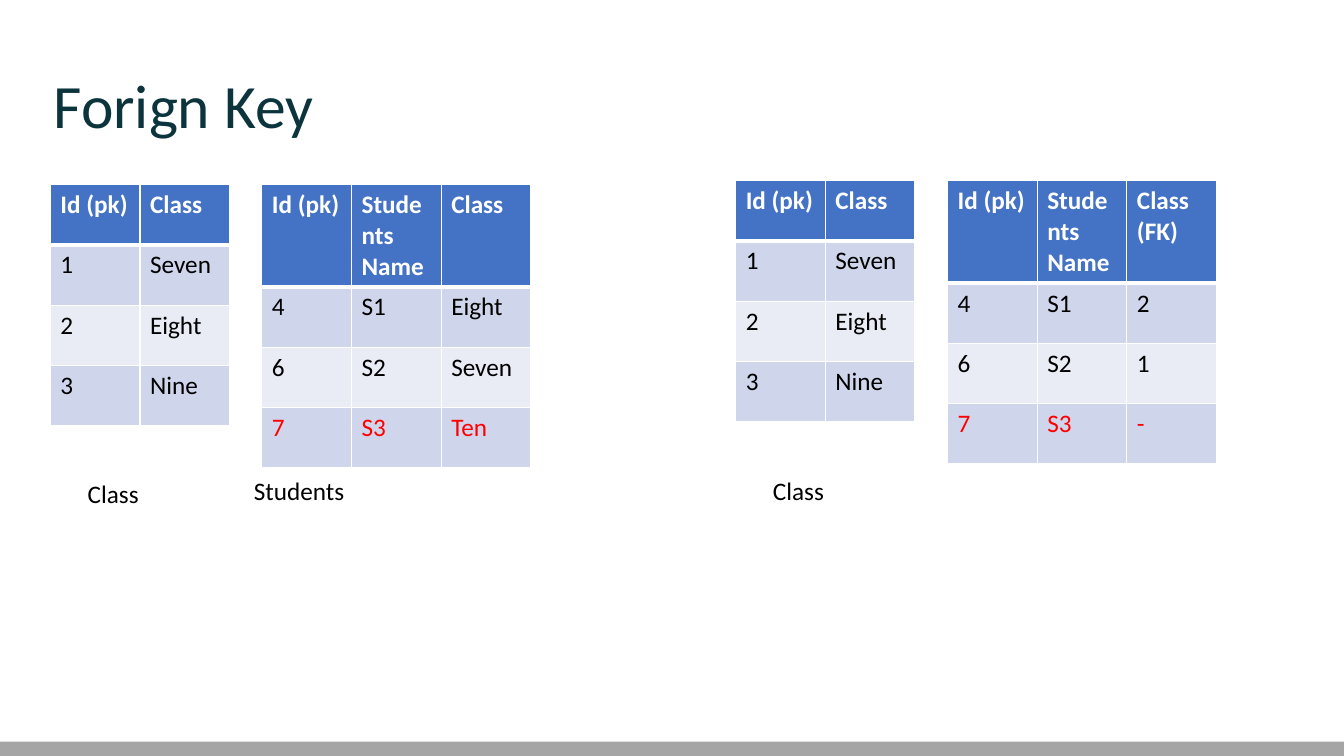
from dataclasses import dataclass

from lxml.etree import SubElement
from pptx import Presentation
from pptx.dml.color import RGBColor
from pptx.enum.shapes import MSO_SHAPE
from pptx.enum.text import MSO_ANCHOR, MSO_AUTO_SIZE, PP_ALIGN
from pptx.oxml.ns import qn
from pptx.slide import Slide
from pptx.table import _Cell
from pptx.text.text import TextFrame
from pptx.util import Cm, Pt

FONT = "Calibri"
WHITE, BLACK, RED = "FFFFFF", "000000", "FF0000"
HEADER_FILL = "4472C4"
BAND_FILLS = ("E9EBF5", "CFD5EA")
COLUMN_WIDTH = Cm(2.26)
ROW_HEIGHT = Cm(1.52)

CLASS_ROWS = [["Id (pk)", "Class"], ["1", "Seven"], ["2", "Eight"], ["3", "Nine"]]


@dataclass
class DataTable:
    left: float
    top: float
    rows: list[list[str]]
    last_row_color: str = BLACK


@dataclass
class Label:
    text: str
    left: float
    top: float


TABLES = [
    DataTable(1.27, 4.65, CLASS_ROWS),
    DataTable(6.6, 4.65, [
        ["Id (pk)", "Students Name", "Class"],
        ["4", "S1", "Eight"],
        ["6", "S2", "Seven"],
        ["7", "S3", "Ten"],
    ], RED),
    DataTable(18.54, 4.55, CLASS_ROWS),
    DataTable(23.88, 4.55, [
        ["Id (pk)", "Students Name", "Class (FK)"],
        ["4", "S1", "2"],
        ["6", "S2", "1"],
        ["7", "S3", "-"],
    ], RED),
]

LABELS = [
    Label("Class", 1.96, 11.94),
    Label("Students", 6.15, 11.86),
    Label("Class", 19.23, 11.86),
]


def color(value: str) -> RGBColor:
    return RGBColor.from_string(value)


def write_text(frame: TextFrame, text: str, *, size: float = 18, fill: str = BLACK,
               bold: bool = False, line_spacing: float = 1.0) -> None:
    paragraph = frame.paragraphs[0]
    paragraph.alignment = PP_ALIGN.LEFT
    paragraph.line_spacing = line_spacing
    run = paragraph.add_run()
    run.text = text
    run.font.name = FONT
    run.font.size = Pt(size)
    run.font.bold = bold
    run.font.color.rgb = color(fill)


def set_borders(cell: _Cell, top: float, bottom: float) -> None:
    properties = cell._tc.get_or_add_tcPr()
    for side, width in (("L", 1), ("R", 1), ("T", top), ("B", bottom)):
        line = SubElement(properties, qn(f"a:ln{side}"), w=str(Pt(width)))
        solid = SubElement(line, qn("a:solidFill"))
        SubElement(solid, qn("a:srgbClr"), val=WHITE)


def draw_table(slide: Slide, data: DataTable) -> None:
    row_count, column_count = len(data.rows), len(data.rows[0])
    table = slide.shapes.add_table(
        row_count, column_count, Cm(data.left), Cm(data.top),
        COLUMN_WIDTH * column_count, ROW_HEIGHT * row_count).table
    for column in table.columns:
        column.width = COLUMN_WIDTH
    for row_index, values in enumerate(data.rows):
        table.rows[row_index].height = ROW_HEIGHT
        is_header = row_index == 0
        text_color = WHITE if is_header else BLACK
        if row_index == row_count - 1:
            text_color = data.last_row_color
        for column_index, value in enumerate(values):
            cell = table.cell(row_index, column_index)
            write_text(cell.text_frame, value, fill=text_color, bold=is_header)
            set_borders(cell, top=3 if row_index == 1 else 1, bottom=3 if is_header else 1)
            cell.fill.solid()
            cell.fill.fore_color.rgb = color(HEADER_FILL if is_header else BAND_FILLS[row_index % 2])


def draw_label(slide: Slide, label: Label) -> None:
    frame = slide.shapes.add_textbox(Cm(label.left), Cm(label.top), Cm(10.34), Cm(1.02)).text_frame
    frame.word_wrap = True
    frame.auto_size = MSO_AUTO_SIZE.SHAPE_TO_FIT_TEXT
    write_text(frame, label.text)


def draw_title(slide: Slide, text: str) -> None:
    title = slide.shapes.title
    title.left, title.top, title.width, title.height = Cm(1.02), Cm(1.57), Cm(27.71), Cm(4.88)
    frame = title.text_frame
    frame.vertical_anchor = MSO_ANCHOR.TOP
    frame.auto_size = MSO_AUTO_SIZE.NONE
    frame.margin_left = frame.margin_right = frame.margin_top = frame.margin_bottom = Cm(0.33)
    write_text(frame, text, size=44, fill="0C343D", line_spacing=0.9)


def draw_footer_bar(slide: Slide, slide_width: int) -> None:
    bar = slide.shapes.add_shape(MSO_SHAPE.RECTANGLE, 0, Cm(18.69), slide_width, Cm(0.36))
    bar.shadow.inherit = False
    bar.fill.solid()
    bar.fill.fore_color.rgb = color("A5A5A5")
    bar.line.fill.background()


def main() -> None:
    presentation = Presentation()
    presentation.slide_width = Cm(33.87)
    presentation.slide_height = Cm(19.05)
    slide = presentation.slides.add_slide(presentation.slide_layouts.get_by_name("Title Only"))
    draw_footer_bar(slide, presentation.slide_width)
    draw_title(slide, "Forign Key")
    for data in TABLES:
        draw_table(slide, data)
    for label in LABELS:
        draw_label(slide, label)
    presentation.save("out.pptx")


if __name__ == "__main__":
    main()
